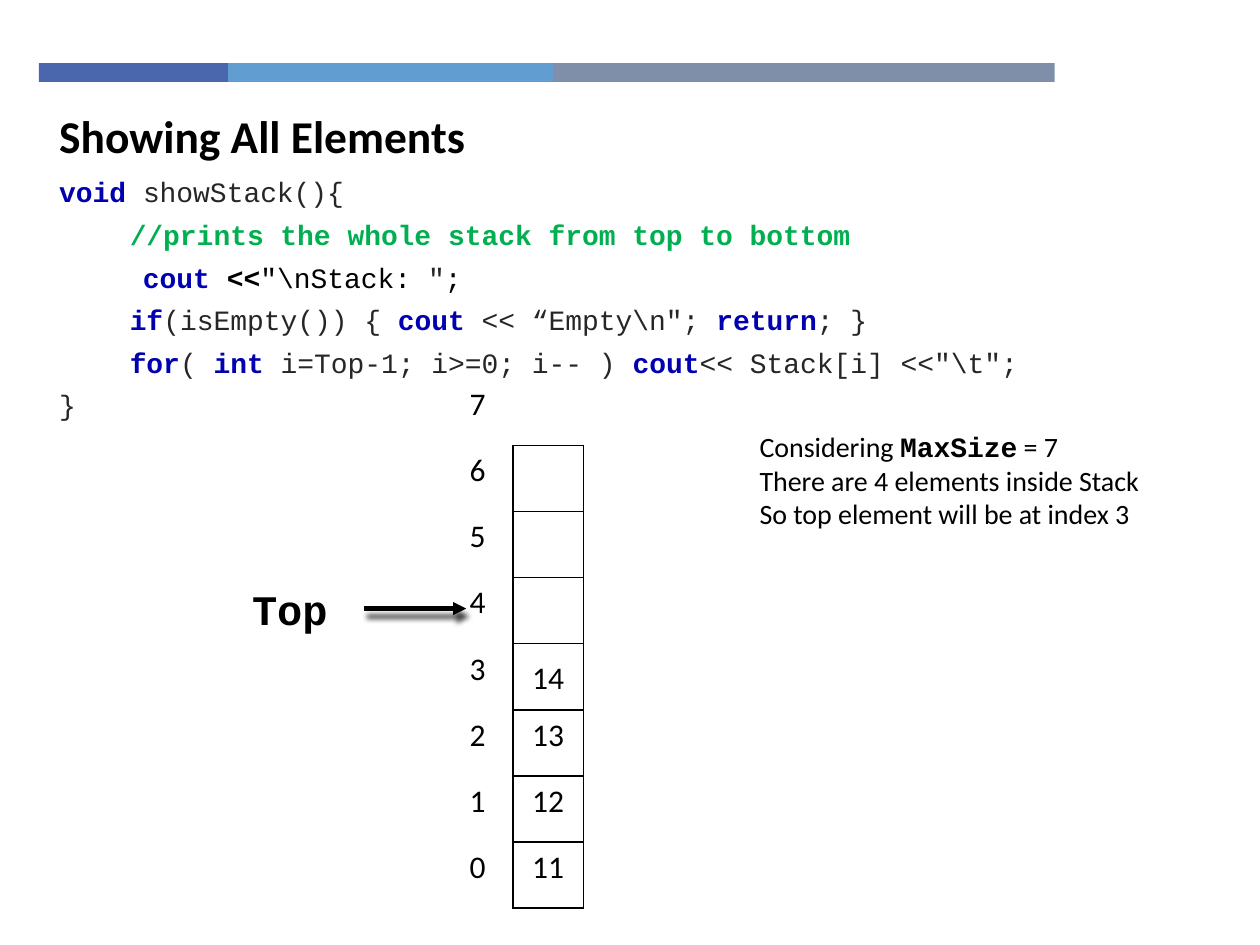
import lxml.etree
import pptx
import pptx.dml.color
import pptx.enum.shapes
import pptx.enum.text
import pptx.oxml.ns
import pptx.util

RGB = pptx.dml.color.RGBColor
ALIGN = pptx.enum.text.PP_ALIGN
MIDDLE = pptx.enum.text.MSO_ANCHOR.MIDDLE
BLACK = RGB(0x00, 0x00, 0x00)
WHITE = RGB(0xFF, 0xFF, 0xFF)
INK = RGB(0x26, 0x26, 0x26)
KEYWORD = RGB(0x00, 0x00, 0xB0)
COMMENT = RGB(0x00, 0xB0, 0x50)
ROYAL = RGB(0x4A, 0x66, 0xAC)
SKY = RGB(0x62, 0x9D, 0xD1)
SLATE = RGB(0x7F, 0x8F, 0xA9)
SANS, MONO = "Calibri", "Courier New"
COLUMNS, ROWS = 100, 75
UNIT = pptx.util.Inches(0.1)
CELL_W, CELL_H = 5.6, 5.25
STACK_LEFT, STACK_TOP = 35.1, 30.1
INDENT = 5.6

BARS = [(15, ROYAL), (25.8, SKY), (39.8, SLATE)]
STACK = {2: "13", 1: "12", 0: "11"}
CODE = [
    [("void ", KEYWORD, True), ("showStack(){", INK, False)],
    [("\t//prints the whole stack from top to bottom", COMMENT, True)],
    [("     cout", KEYWORD, True), (" <<", BLACK, True), ('"\\nStack: ', BLACK, False),
     ('"', INK, False), (";", BLACK, False)],
    [("\tif", KEYWORD, True), ("(isEmpty()) { ", INK, False), ("cout ", KEYWORD, True),
     ('<< “Empty\\n"; ', INK, False), ("return", KEYWORD, True), ("; }", INK, False)],
    [("\tfor", KEYWORD, True), ("( ", INK, False), ("int ", KEYWORD, True),
     ("i=Top-1; i>=0; i-- ) ", INK, False), ("cout", KEYWORD, True),
     ('<< Stack[i] <<"\\t";', INK, False)],
    [("}", INK, False)],
]


def grid(*cells):
    """Turn grid counts into lengths."""
    return [round(c * UNIT) for c in cells]


def place(sp, *cells):
    """Move a placeholder to a grid position and stop it shrinking its text."""
    sp.left, sp.top, sp.width, sp.height = grid(*cells)
    sp.text_frame.auto_size = pptx.enum.text.MSO_AUTO_SIZE.NONE
    return sp.text_frame


def style(font, name, size, color=BLACK, bold=False):
    """Set the face, size, colour and weight of a font."""
    font.name, font.size, font.bold = name, pptx.util.Pt(size), bold
    font.color.rgb = color


def add_xml(parent, tag, **attributes):
    """Append a DrawingML element to its parent."""
    return lxml.etree.SubElement(parent, pptx.oxml.ns.qn(tag), attributes)


def add_rect(s, fill, *cells):
    """Add a plain filled rectangle."""
    sp = s.shapes.add_shape(pptx.enum.shapes.MSO_SHAPE.RECTANGLE, *grid(*cells))
    sp.shadow.inherit = False
    sp.fill.solid()
    sp.fill.fore_color.rgb = fill
    sp.line.fill.background()
    return sp


def write_centred(holder, text, name, size, bold=False):
    """Write one centred line in the middle of a shape or cell."""
    tf = holder.text_frame
    tf.word_wrap = True
    tf.vertical_anchor = MIDDLE
    p = tf.paragraphs[0]
    p.text, p.alignment = text, ALIGN.CENTER
    style(p.font, name, size, bold=bold)


def add_bars(s):
    """Lay the three header bars end to end."""
    left = 3.1
    for width, color in BARS:
        add_rect(s, color, left, 5, width, 1.5)
        left += width


def add_title(s):
    """Fill the title placeholder."""
    p = place(s.shapes.title, 3.7, 8, 71.6, 5.4).paragraphs[0]
    p.text, p.alignment = "Showing All Elements", ALIGN.LEFT
    style(p.font, SANS, 26, bold=True)


def add_code(s):
    """Fill the body placeholder with the coloured listing."""
    tf = place(s.placeholders[1], 3.7, 13.8, 82.5, 19.8)
    for i, spans in enumerate(CODE):
        p = tf.add_paragraph() if i else tf.paragraphs[0]
        p.alignment, p.line_spacing = ALIGN.JUSTIFY, 0.85
        p.space_before = pptx.util.Pt(4 if i else 0)
        p.space_after = pptx.util.Pt(4)
        pPr = p._p.get_or_add_pPr()
        pPr.set("marL", str(grid(INDENT)[0]))
        pPr.set("indent", str(grid(-INDENT)[0]))
        add_xml(pPr, "a:buNone")
        for text, color, bold in spans:
            r = p.add_run()
            r.text = text
            style(r.font, MONO, 16, color, bold)


def set_borders(cell, sides):
    """Draw the named sides of a cell in black and clear the others."""
    tcPr = cell._tc.get_or_add_tcPr()
    for side in "LRTB":
        ln = add_xml(tcPr, "a:ln" + side, w=str(pptx.util.Pt(1)))
        if side in sides:
            add_xml(add_xml(ln, "a:solidFill"), "a:srgbClr", val=str(BLACK))
        else:
            add_xml(ln, "a:noFill")


def add_stack(s):
    """Add the indexed stack, highest index on top."""
    count = 8
    table = s.shapes.add_table(
        count, 2, *grid(STACK_LEFT, STACK_TOP, 2 * CELL_W, count * CELL_H)).table
    table.first_row = table.horz_banding = False
    for row in range(count):
        index = count - 1 - row
        texts = (str(index), STACK.get(index, ""))
        borders = ("R", "LRTB") if row else ("", "B")
        for column in range(2):
            cell = table.cell(row, column)
            write_centred(cell, texts[column], SANS, 18)
            set_borders(cell, borders[column])
            cell.fill.background()


def add_top_value(s):
    """Label the slot of the top element."""
    sp = s.shapes.add_textbox(
        *grid(STACK_LEFT + CELL_W, STACK_TOP + 4 * CELL_H, CELL_W, CELL_H))
    write_centred(sp, "14", SANS, 18)


def add_note(s):
    """Add the remark on the size of the stack."""
    tf = s.shapes.add_textbox(*grid(59.3, 33.6, 34.8, 9.1)).text_frame
    tf.word_wrap = True
    p = tf.paragraphs[0]
    p.alignment = ALIGN.JUSTIFY
    for text, name in (("Considering ", SANS), ("MaxSize", MONO), (" = 7", SANS)):
        r = p.add_run()
        r.text = text
        style(r.font, name, 16, bold=name == MONO)
    for text in ("There are 4 elements inside Stack", "So top element will be at index 3"):
        p = tf.add_paragraph()
        p.text, p.alignment = text, ALIGN.JUSTIFY
        style(p.font, SANS, 16)


def add_pointer(s):
    """Add the Top label and its shadowed arrow."""
    write_centred(add_rect(s, WHITE, 17.1, 46.2, 11.8, 4.3), "Top", MONO, 24, True)
    arrow = s.shapes.add_connector(
        pptx.enum.shapes.MSO_CONNECTOR.STRAIGHT, *grid(28.9, 48.3, 37, 48.3))
    arrow.line.color.rgb = BLACK
    arrow.line.width = pptx.util.Pt(2.5)
    spPr = arrow._element.spPr
    add_xml(spPr.find(pptx.oxml.ns.qn("a:ln")), "a:tailEnd", type="triangle")
    shadow = add_xml(add_xml(spPr, "a:effectLst"), "a:outerShdw",
                     blurRad=str(pptx.util.Pt(3)), dist=str(pptx.util.Pt(5)),
                     dir=str(72 * 60000), rotWithShape="0")
    add_xml(add_xml(shadow, "a:srgbClr", val=str(BLACK)), "a:alpha", val="75000")


def main():
    """Build and save the slide."""
    prs = pptx.Presentation()
    prs.slide_width, prs.slide_height = grid(COLUMNS, ROWS)
    s = prs.slides.add_slide(prs.slide_layouts[1])
    for add_part in (add_bars, add_code, add_title, add_stack, add_note,
                     add_pointer, add_top_value):
        add_part(s)
    prs.save("out.pptx")


if __name__ == "__main__":
    main()
